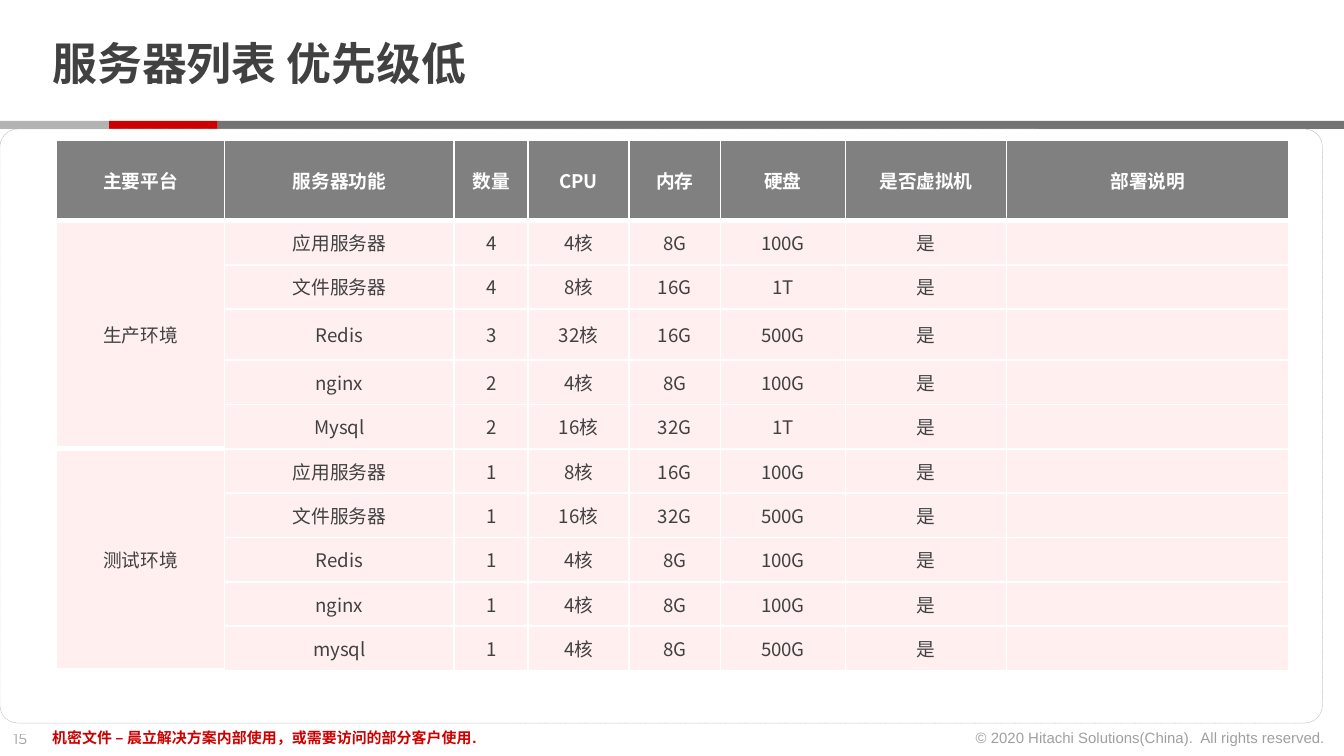
from lxml.etree import SubElement
from pptx import Presentation
from pptx.dml.color import RGBColor
from pptx.enum.dml import MSO_LINE
from pptx.enum.shapes import MSO_SHAPE as Shape
from pptx.enum.text import MSO_ANCHOR as Anchor, MSO_AUTO_SIZE as AutoSize, PP_ALIGN as Align
from pptx.oxml.ns import qn
from pptx.util import Inches, Pt

CJK_FONT = "Noto Sans CJK SC"
DARK, RED, SILVER, WHITE = "414141", "CC0000", "B3B3B3", "FFFFFF"
HEADER_FILL, BODY_FILL = "808080", "FFEFEF"

HEADERS = ["主要平台", "服务器功能", "数量", "CPU", "内存", "硬盘", "是否虚拟机", "部署说明"]
COLUMN_WIDTHS = [1.25, 1.71, 0.55, 0.75, 0.68, 0.93, 1.2, 2.1]
ROW_HEIGHTS = [0.6, 0.33, 0.33, 0.38] + [0.33] * 7

# Function, count, CPU, memory and disk of each server, by environment
SERVERS = {
    "生产环境": [
        ("应用服务器", "4", "4核", "8G", "100G"),
        ("文件服务器", "4", "8核", "16G", "1T"),
        ("Redis", "3", "32核", "16G", "500G"),
        ("nginx", "2", "4核", "8G", "100G"),
        ("Mysql", "2", "16核", "32G", "1T"),
    ],
    "测试环境": [
        ("应用服务器", "1", "8核", "16G", "100G"),
        ("文件服务器", "1", "16核", "32G", "500G"),
        ("Redis", "1", "4核", "8G", "100G"),
        ("nginx", "1", "4核", "8G", "100G"),
        ("mysql", "1", "4核", "8G", "500G"),
    ],
}


def color(value):
    return RGBColor.from_string(value)


def add_run(para, text, size, font, fill, bold=False, alpha=None):
    run = para.add_run()
    run.text = text
    run.font.size = Pt(size)
    run.font.name = font
    run.font.bold = bold
    run.font.color.rgb = color(fill)
    properties = run.font._element
    if alpha:
        tint = properties.find(f"{qn('a:solidFill')}/{qn('a:srgbClr')}")
        SubElement(tint, qn("a:alpha"), val=str(alpha * 1000))
    SubElement(properties, qn("a:ea"), typeface=CJK_FONT)


def add_title(slide, text):
    title = slide.shapes.title
    title.left, title.top = Inches(0.29), Inches(0.13)
    title.width, title.height = Inches(7.71), Inches(0.73)
    frame = title.text_frame
    frame.auto_size = AutoSize.NONE
    frame.word_wrap = True
    frame.vertical_anchor = Anchor.MIDDLE
    frame.margin_top = frame.margin_bottom = 0
    para = frame.paragraphs[0]
    para.alignment = Align.LEFT
    para.line_spacing = 0.85
    add_run(para, text, 24, "Montserrat", DARK, bold=True)


def add_label(slide, left, top, width, text, font, fill, align=Align.LEFT, wrap=False, **style):
    box = slide.shapes.add_textbox(Inches(left), Inches(top), Inches(width), Inches(0.24))
    box.text_frame.word_wrap = wrap
    para = box.text_frame.paragraphs[0]
    para.alignment = align
    add_run(para, text, 8, font, fill, **style)


def add_band(slide, left, width, fill):
    band = slide.shapes.add_shape(
        Shape.RECTANGLE, Inches(left), Inches(0.9), Inches(width), Inches(0.06))
    band.shadow.inherit = False
    band.fill.solid()
    band.fill.fore_color.rgb = color(fill)
    band.line.fill.background()


def add_frame(slide):
    frame = slide.shapes.add_shape(
        Shape.ROUNDED_RECTANGLE, 0, Inches(0.96), Inches(9.84), Inches(4.42))
    frame.adjustments[0] = 0.03
    frame.shadow.inherit = False
    frame.fill.background()
    frame.line.color.rgb = color(SILVER)
    frame.line.width = Pt(0.25)
    frame.line.dash_style = MSO_LINE.ROUND_DOT


def set_borders(cell, top, bottom):
    properties = cell._tc.get_or_add_tcPr()
    for side, width in (("L", 1), ("R", 1), ("T", top), ("B", bottom)):
        line = SubElement(properties, qn(f"a:ln{side}"), w=str(Pt(width)))
        fill = SubElement(line, qn("a:solidFill"))
        SubElement(fill, qn("a:srgbClr"), val=WHITE)


def fill_cell(cell, text, header=False, top=1, bottom=1):
    set_borders(cell, top, bottom)
    cell.fill.solid()
    cell.fill.fore_color.rgb = color(HEADER_FILL if header else BODY_FILL)
    cell.vertical_anchor = Anchor.MIDDLE
    cell.margin_left = cell.margin_right = Inches(0.06)
    cell.margin_top = cell.margin_bottom = Inches(0.03)
    para = cell.text_frame.paragraphs[0]
    para.alignment = Align.CENTER
    if text:
        add_run(para, text, 10, CJK_FONT, WHITE if header else DARK, bold=header)
    else:
        # An empty cell keeps the small text size, so its row does not grow
        SubElement(para._p, qn("a:endParaRPr"), sz="1000")


def add_server_table(slide):
    table = slide.shapes.add_table(
        len(ROW_HEIGHTS), len(COLUMN_WIDTHS), Inches(0.42), Inches(1.04),
        Inches(sum(COLUMN_WIDTHS)), Inches(sum(ROW_HEIGHTS))).table
    table.horz_banding = False
    for column, width in zip(table.columns, COLUMN_WIDTHS):
        column.width = Inches(width)
    for row, height in zip(table.rows, ROW_HEIGHTS):
        row.height = Inches(height)

    for index, text in enumerate(HEADERS):
        fill_cell(table.cell(0, index), text, header=True, bottom=3)

    row = 1
    for environment, servers in SERVERS.items():
        platform = table.cell(row, 0)
        platform.merge(table.cell(row + len(servers) - 1, 0))
        fill_cell(platform, environment, top=3, bottom=3)
        for server in servers:
            for index, text in enumerate((*server, "是", ""), start=1):
                fill_cell(table.cell(row, index), text, top=3 if row == 1 else 1)
            row += 1


def main():
    # Widescreen page, 16:9
    deck = Presentation()
    deck.slide_width, deck.slide_height = Inches(10), Inches(10 * 9 / 16)
    slide = deck.slides.add_slide(deck.slide_layouts[5])

    # Heading and the coloured rule below it
    add_title(slide, "服务器列表 优先级低")
    add_band(slide, 1.62, 8.38, "737373")
    add_band(slide, 0.81, 0.81, RED)
    add_band(slide, 0, 0.81, SILVER)

    # Footer
    add_label(slide, 0, 5.38, 0.34, "15", "Montserrat", DARK, alpha=50)
    add_label(slide, 7.12, 5.37, 2.84, "© 2020 Hitachi Solutions(China).\u00a0 All rights reserved.",
              "Arial", DARK, align=Align.RIGHT, alpha=50)
    add_label(slide, 0.29, 5.37, 6.74, "机密文件 – 晨立解决方案内部使用，或需要访问的部分客户使用.",
              "Arial", RED, wrap=True, bold=True)

    # Content
    add_frame(slide)
    add_server_table(slide)
    deck.save("out.pptx")


if __name__ == "__main__":
    main()
